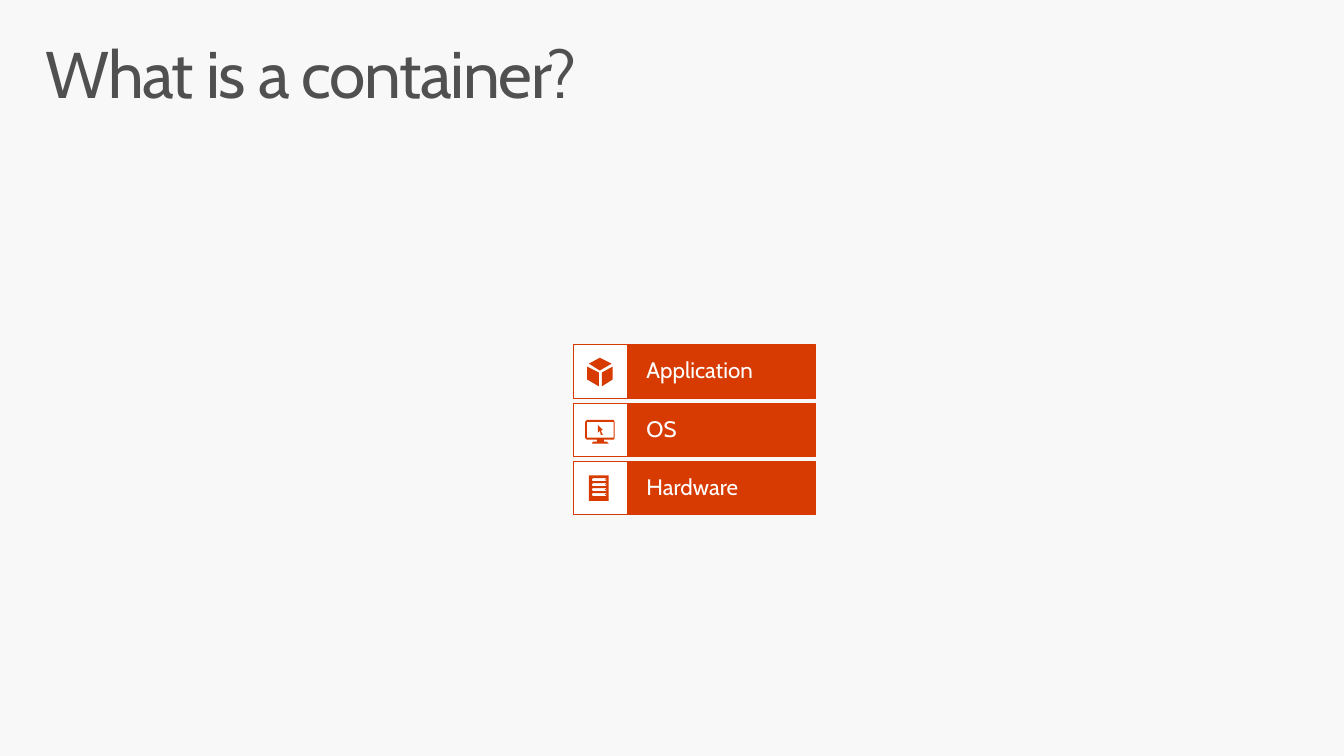
from pptx import Presentation
from pptx import util as u
from pptx.dml.color import RGBColor
from pptx.enum import shapes, text

ORANGE = RGBColor(0xD8, 0x3B, 0x01)
WHITE = RGBColor(0xFF, 0xFF, 0xFF)
GREY = RGBColor(0x50, 0x50, 0x50)
BACKDROP = RGBColor(0xF8, 0xF8, 0xF8)
PX = u.Inches(1) // 100  # 100 px to the inch

# Icons: outlines in px from the tile's corner; further contours are holes
SLOT_TOPS = range(17, 33, 5)
CUBE = [
    [[(26, 28), (26, 42), (14, 35), (14, 22)]],
    [[(29, 28), (29, 42), (40, 35), (40, 22)]],
    [[(27, 26), (16, 19), (27, 13), (39, 19)]],
]
MONITOR = [
    [[(14, 17), (41, 17), (42, 19), (42, 35), (41, 37), (31, 37), (31, 39),
      (34, 39), (36, 41), (19, 41), (20, 39), (24, 39), (24, 37), (14, 37),
      (12, 35), (12, 19)],
     [(14, 19), (14, 35), (41, 35), (41, 19)]],
    [[(25, 22), (30, 27), (28, 28), (30, 32), (28, 32), (27, 28), (25, 30)]],
]
SERVER = [
    [[(16, 14), (16, 40), (36, 40), (36, 14)]]
    + [[(20, y), (33, y), (34, y + 1), (34, y + 2), (33, y + 3),
        (20, y + 3), (19, y + 2), (19, y + 1)] for y in SLOT_TOPS],
]
SERVER_LIGHTS = [(32, y + 1, 2, 1) for y in SLOT_TOPS]

# Content: label, icon outlines, icon dots
TITLE = "What is a container?"
LAYERS = [
    ("Application", CUBE, []),
    ("OS", MONITOR, []),
    ("Hardware", SERVER, SERVER_LIGHTS),
]

# Layout in px
SLIDE_SIZE = (1360, 765)
TITLE_BOX = (30, 32, 1300, 100)
STACK_LEFT, STACK_TOP, PITCH = 580, 349, 59
TILE_WIDTH, LABEL_OFFSET, LABEL_WIDTH, ROW_HEIGHT = 55, 54, 191, 54

# Formats
TITLE_FRAME = dict(margin_left=16 * PX, margin_right=16 * PX,
                   margin_top=10 * PX, margin_bottom=10 * PX, word_wrap=True,
                   vertical_anchor=text.MSO_ANCHOR.TOP,
                   auto_size=text.MSO_AUTO_SIZE.NONE)
LABEL_FRAME = dict(margin_left=20 * PX, margin_right=20 * PX,
                   margin_top=16 * PX, margin_bottom=16 * PX, word_wrap=True,
                   vertical_anchor=text.MSO_ANCHOR.MIDDLE)
PARAGRAPH = dict(alignment=text.PP_ALIGN.LEFT, line_spacing=0.9)
TITLE_FONT = dict(name="Cabin", size=u.Pt(48))
LABEL_FONT = dict(name="Cabin", size=u.Pt(16.3))


def apply(target, values):
    for key, value in values.items():
        setattr(target, key, value)


def write(shape, words, frame, font, colour):
    shape.text_frame.text = words
    apply(shape.text_frame, frame)
    paragraph = shape.text_frame.paragraphs[0]
    apply(paragraph, PARAGRAPH)
    run = paragraph.runs[0]
    apply(run.font, font)
    run.font.color.rgb = colour
    return run


def paint(shape, fill, outlined=False):
    shape.shadow.inherit = False
    shape.fill.solid()
    shape.fill.fore_color.rgb = fill
    if outlined:
        shape.line.color.rgb = ORANGE
        shape.line.width = u.Pt(0.85)
    else:
        shape.line.fill.background()
    return shape


def add_preset(parent, kind, box, fill, outlined=False):
    shape = parent.add_shape(kind, *(n * PX for n in box))
    return paint(shape, fill, outlined)


def add_outline(parent, contours, left, top):
    placed = [[(left + x, top + y) for x, y in c] for c in contours]
    builder = parent.build_freeform(*placed[0][0], scale=PX)
    for number, contour in enumerate(placed):
        if number:
            builder.move_to(*contour[0])
        builder.add_line_segments(contour[1:], close=True)
    paint(builder.convert_to_shape(), ORANGE)


def main():
    prs = Presentation()
    prs.slide_width, prs.slide_height = (n * PX for n in SLIDE_SIZE)
    slide = prs.slides.add_slide(prs.slide_layouts[5])
    slide.background.fill.solid()
    slide.background.fill.fore_color.rgb = BACKDROP

    # Title
    title = slide.shapes.title
    apply(title, dict(zip(("left", "top", "width", "height"),
                          (n * PX for n in TITLE_BOX))))
    heading = write(title, TITLE, TITLE_FRAME, TITLE_FONT, GREY)
    heading.font._element.set("spc", "-100")

    # Stack of layers, each a label bar and an icon tile
    rect, oval = shapes.MSO_SHAPE.RECTANGLE, shapes.MSO_SHAPE.OVAL
    for row, (label, outlines, dots) in enumerate(LAYERS):
        top = STACK_TOP + row * PITCH
        bar = add_preset(slide.shapes, rect,
                         (STACK_LEFT + LABEL_OFFSET, top, LABEL_WIDTH, ROW_HEIGHT),
                         ORANGE, outlined=True)
        write(bar, label, LABEL_FRAME, LABEL_FONT, WHITE)

        icon = slide.shapes.add_group_shape().shapes
        add_preset(icon, rect, (STACK_LEFT, top, TILE_WIDTH, ROW_HEIGHT),
                   WHITE, outlined=True)
        for contours in outlines:
            add_outline(icon, contours, STACK_LEFT, top)
        for x, y, width, height in dots:
            add_preset(icon, oval, (STACK_LEFT + x, top + y, width, height), ORANGE)

    prs.save("out.pptx")


if __name__ == "__main__":
    main()
